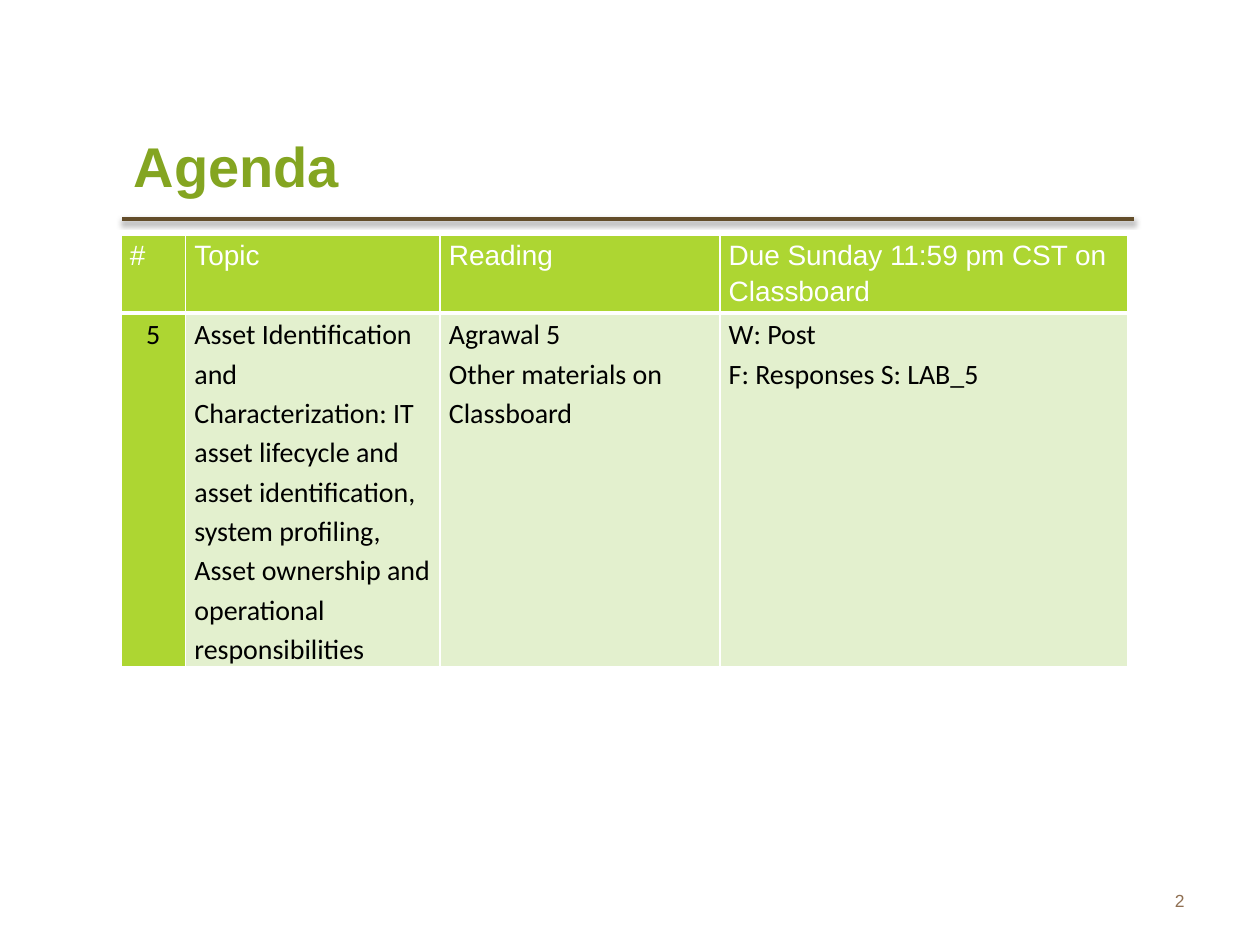
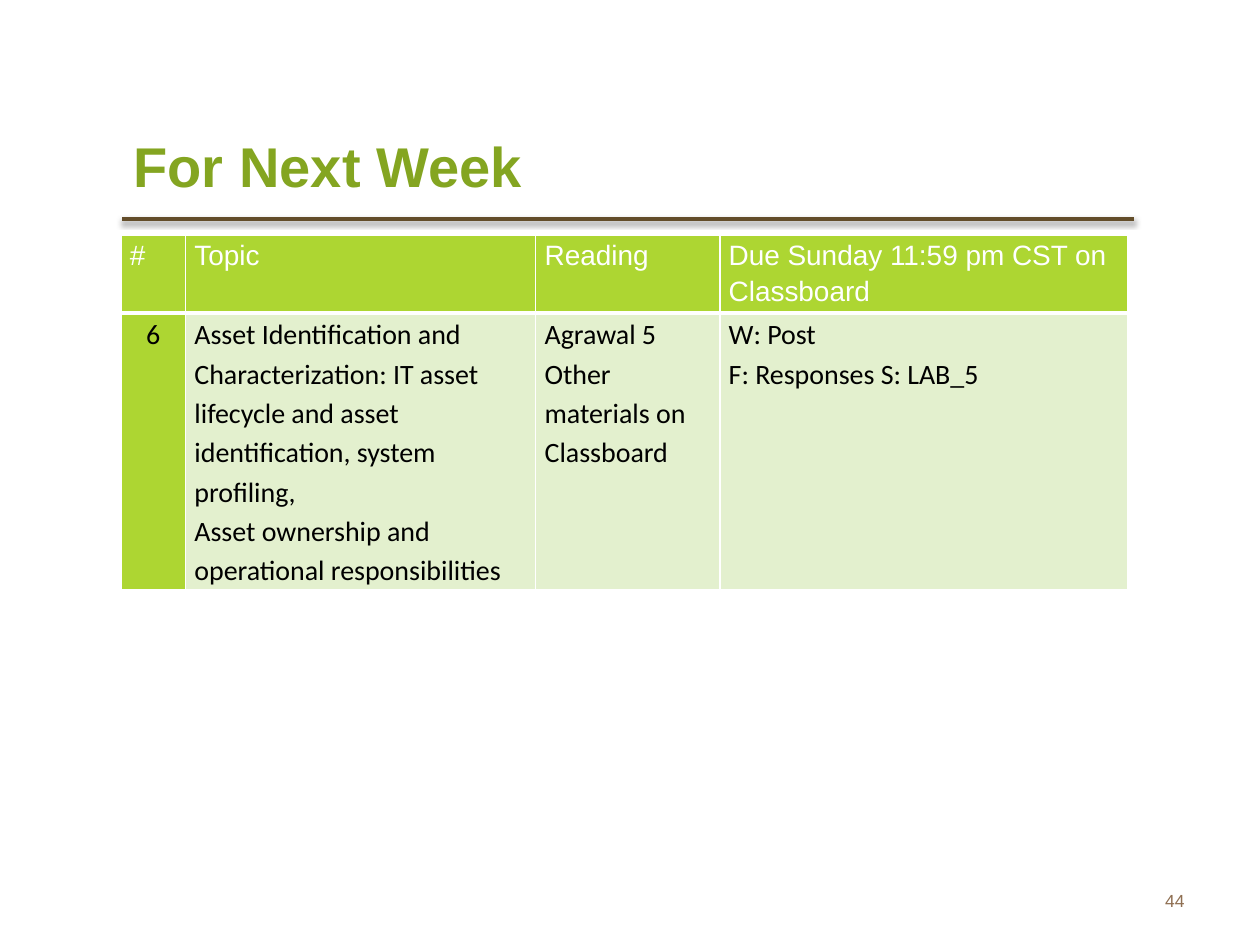
from lxml.etree import SubElement
from pptx import Presentation
from pptx.dml.color import RGBColor
from pptx.enum.shapes import MSO_CONNECTOR
from pptx.enum.text import MSO_ANCHOR, MSO_AUTO_SIZE, PP_ALIGN
from pptx.oxml import parse_xml
from pptx.oxml.ns import nsdecls, qn
from pptx.util import Cm, Pt

WHITE = RGBColor(0xFF, 0xFF, 0xFF)
BLACK = RGBColor(0x00, 0x00, 0x00)
TITLE_GREEN = RGBColor(0x84, 0xA5, 0x21)
LIME = RGBColor(0xAD, 0xD6, 0x32)
PALE_GREEN = RGBColor(0xE3, 0xF0, 0xCE)
RULE_BROWN = RGBColor(0x63, 0x4D, 0x2A)
NUMBER_BROWN = RGBColor(0x8F, 0x6F, 0x52)
LEFT = Cm(2.44)
HEADER_HEIGHT = Cm(1.42)
HEADINGS = ["#", "Topic", "Reading", "Due Sunday 11:59 pm CST on Classboard"]
TOPIC = [
    "Asset Identification and Characterization: IT asset lifecycle and asset "
    "identification, system profiling,",
    "Asset ownership and operational responsibilities",
]
READING = ["Agrawal 5", "Other materials on Classboard"]
DUE = ["W: Post", "F: Responses S: LAB_5"]
WEEKS = [
    ("Agenda", 2, "5", [1.3, 5.13, 5.64, 8.23], 7.13),
    ("For Next Week", 44, "6", [1.3, 7.06, 3.71, 8.23], 5.58),
]


class Deck:
    def __init__(self):
        self.prs = Presentation()
        self.prs.slide_width, self.prs.slide_height = Cm(25.4), Cm(19.05)
        self.slide = None

    def start_slide(self, heading, number):
        self.slide = self.prs.slides.add_slide(self.prs.slide_layouts[5])
        self.rule()
        self.page_number(number)
        self.title(heading)

    def set_text(self, frame, lines, size, color, font="Arial", bold=False,
                 align=PP_ALIGN.LEFT, spacing=1.0):
        frame.word_wrap = True
        frame.text = "\n".join(lines)
        for paragraph in frame.paragraphs:
            paragraph.alignment = align
            paragraph.line_spacing = spacing
            paragraph.space_before = Pt(0)
            style = paragraph.font
            style.name, style.size, style.bold = font, Pt(size), bold
            style.color.rgb = color

    def title(self, heading):
        title = self.slide.shapes.title
        title.left, title.top = LEFT, Cm(2.18)
        title.width, title.height = Cm(14.66), Cm(2.29)
        self.set_text(title.text_frame, [heading], 32, TITLE_GREEN, bold=True)
        title.text_frame.auto_size = MSO_AUTO_SIZE.NONE
        title.text_frame.vertical_anchor = MSO_ANCHOR.MIDDLE

    def rule(self):
        rule = self.slide.shapes.add_connector(
            MSO_CONNECTOR.STRAIGHT, Cm(2.46), Cm(4.42), Cm(22.86), Cm(4.42))
        rule.line.color.rgb = RULE_BROWN
        rule.line.width = Pt(2)
        rule._element.spPr.append(parse_xml(
            f'<a:effectLst {nsdecls("a")}>'
            f'<a:outerShdw blurRad="{Pt(3.1)}" dist="{Pt(1.6)}" dir="5400000" rotWithShape="0">'
            '<a:srgbClr val="000000"><a:alpha val="38000"/></a:srgbClr>'
            '</a:outerShdw></a:effectLst>'))

    def page_number(self, number):
        frame = self.slide.shapes.add_textbox(
            Cm(18.21), Cm(17.65), Cm(5.92), Cm(1.02)).text_frame
        self.set_text(frame, [str(number)], 10, NUMBER_BROWN, align=PP_ALIGN.RIGHT)
        frame.vertical_anchor = MSO_ANCHOR.MIDDLE

    def borders(self, cell, bottom):
        properties = cell._tc.get_or_add_tcPr()
        for side, width in (("L", 1), ("R", 1), ("T", 1), ("B", bottom)):
            edge = SubElement(properties, qn(f"a:ln{side}"), w=str(Pt(width)))
            fill = SubElement(edge, qn("a:solidFill"))
            SubElement(fill, qn("a:srgbClr"), val=str(WHITE))

    def cell(self, cell, lines, fill, bottom=1, **style):
        cell.margin_left = cell.margin_right = Cm(0.18)
        cell.margin_top = cell.margin_bottom = 0
        self.borders(cell, bottom)
        cell.fill.solid()
        cell.fill.fore_color.rgb = fill
        self.set_text(cell.text_frame, lines, 16, spacing=1.15, **style)

    def schedule(self, week, widths, body_height):
        body_height = Cm(body_height)
        table = self.slide.shapes.add_table(
            2, len(widths), LEFT, Cm(4.75), Cm(sum(widths)),
            HEADER_HEIGHT + body_height).table
        table.horz_banding = False
        table.rows[0].height, table.rows[1].height = HEADER_HEIGHT, body_height
        entries = [[week], TOPIC, READING, DUE]
        for col, (width, heading, entry) in enumerate(zip(widths, HEADINGS, entries)):
            table.columns[col].width = Cm(width)
            self.cell(table.cell(0, col), [heading], LIME, bottom=3, color=WHITE)
            is_week = col == 0
            self.cell(table.cell(1, col), entry, LIME if is_week else PALE_GREEN,
                      color=BLACK, font="Calibri",
                      align=PP_ALIGN.CENTER if is_week else PP_ALIGN.LEFT)


def main():
    deck = Deck()
    for heading, number, week, widths, body_height in WEEKS:
        deck.start_slide(heading, number)
        deck.schedule(week, widths, body_height)
    deck.prs.save("out.pptx")


if __name__ == "__main__":
    main()
